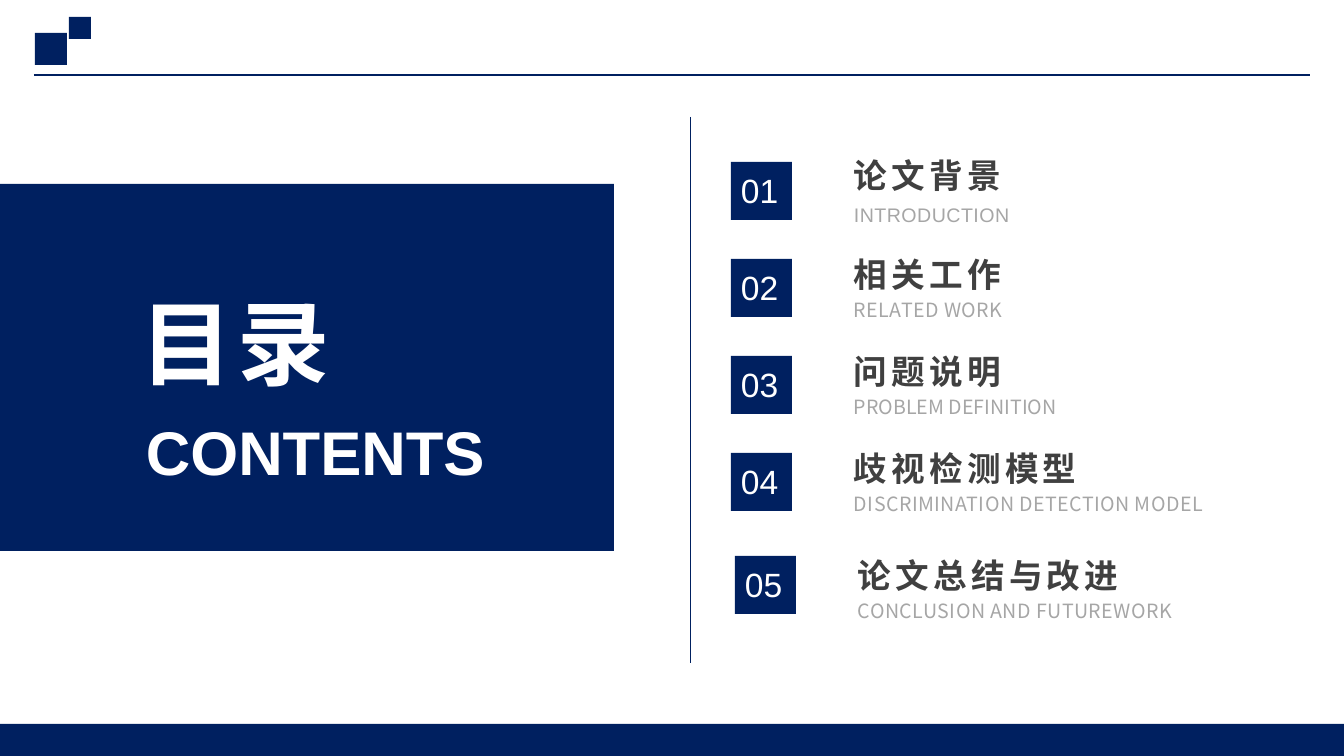
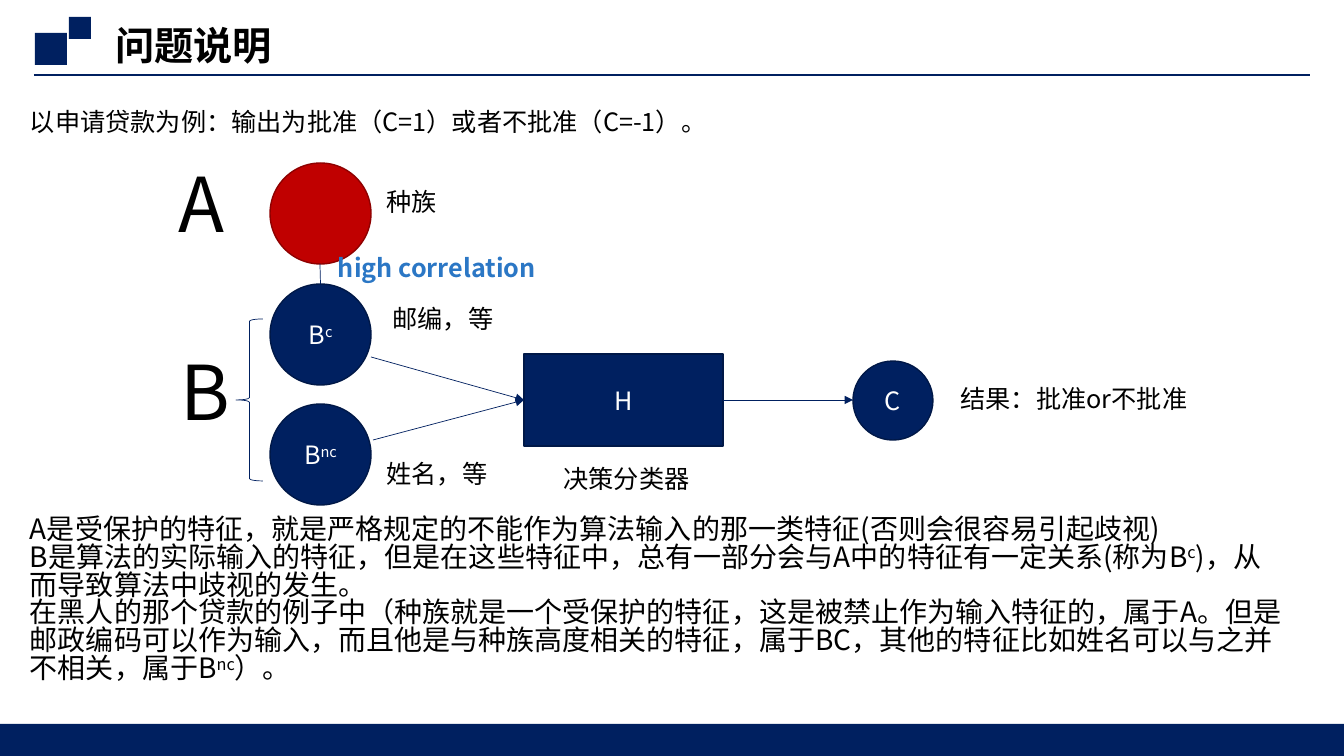
from dataclasses import dataclass

from lxml import etree
from pptx import Presentation
from pptx.dml.color import RGBColor
from pptx.enum.shapes import MSO_CONNECTOR, MSO_SHAPE
from pptx.enum.text import MSO_ANCHOR, MSO_AUTO_SIZE, PP_ALIGN
from pptx.oxml.ns import qn
from pptx.util import Emu, Pt

RECT, OVAL, BRACE = MSO_SHAPE.RECTANGLE, MSO_SHAPE.OVAL, MSO_SHAPE.LEFT_BRACE
STRAIGHT = MSO_CONNECTOR.STRAIGHT
LEFT, CENTER = PP_ALIGN.LEFT, PP_ALIGN.CENTER
TOP, MIDDLE = MSO_ANCHOR.TOP, MSO_ANCHOR.MIDDLE
NO_FIT = MSO_AUTO_SIZE.NONE

# Scale, colours and fonts
SLIDE_W, SLIDE_H = 1344, 756
EMU_PER_PX = 12192000 / SLIDE_W
NAVY = RGBColor(0x00, 0x20, 0x60)
NAVY_EDGE = RGBColor(0x00, 0x18, 0x47)
RED = RGBColor(0xC0, 0x00, 0x00)
RED_EDGE = RGBColor(0x8E, 0x00, 0x00)
BLUE = RGBColor(0x2B, 0x77, 0xC5)
BLACK = RGBColor(0x00, 0x00, 0x00)
DARK = RGBColor(0x40, 0x40, 0x40)
GREY = RGBColor(0xA6, 0xA6, 0xA6)
WHITE = RGBColor(0xFF, 0xFF, 0xFF)
ARIAL, NOTO = "Arial", "Noto Sans CJK SC"
NOTO_LEADING = 0.83


@dataclass(frozen=True)
class Chapter:
    title: str
    subtitle: str
    x: int
    y: int
    title_y: int
    font: str = NOTO
    spacing: float = 0.3


@dataclass(frozen=True)
class Label:
    text: str
    x: int
    y: int
    w: int
    h: int = 40
    size: int = 18
    color: RGBColor = BLACK
    bold: bool = False
    align: int = LEFT


@dataclass(frozen=True)
class Node:
    text: str
    kind: int
    x: int
    y: int
    w: int
    h: int
    fill: RGBColor = NAVY
    edge: RGBColor = NAVY_EDGE


CHAPTERS = [
    Chapter("论文背景", "INTRODUCTION", 731, 162, 160, ARIAL),
    Chapter("相关工作", "RELATED WORK", 731, 259, 259),
    Chapter("问题说明", "PROBLEM DEFINITION", 731, 356, 356, spacing=0),
    Chapter("歧视检测模型", "DISCRIMINATION DETECTION MODEL", 731, 453, 453),
    Chapter("论文总结与改进", "CONCLUSION AND FUTUREWORK", 735, 556, 560),
]

# A pair of ^ marks encloses a superscript
NODES = {
    "A": Node("", OVAL, 270, 163, 101, 101, RED, RED_EDGE),
    "Bc": Node("B^c^", OVAL, 270, 284, 101, 101),
    "Bnc": Node("B^nc^", OVAL, 270, 404, 101, 101),
    "H": Node("H", RECT, 524, 354, 199, 92),
    "C": Node("C", OVAL, 853, 361, 80, 79),
}
LABELS = [
    Label("以申请贷款为例：输出为批准（C=1）或者不批准（C=-1）。", 20, 106, 731),
    Label("A", 167, 167, 68, 102, 54, align=CENTER),
    Label("B", 171, 355, 62, 102, 54, align=CENTER),
    Label(" 种族", 371, 186, 153),
    Label("high\u00a0correlation", 328, 252, 688, color=BLUE, bold=True),
    Label(" 邮编，等", 377, 304, 153),
    Label(" 姓名，等", 371, 459, 153),
    Label(" 决策分类器", 548, 463, 153),
    Label(" 结果：批准or不批准", 945, 383, 271),
]
EXPLANATION = "\n".join([
    "A是受保护的特征，就是严格规定的不能作为算法输入的那一类特征(否则会很容易引起歧视)",
    "B是算法的实际输入的特征，但是在这些特征中，总有一部分会与A中的特征有一定关系"
    "(称为B^c^)，从而导致算法中歧视的发生。",
    "在黑人的那个贷款的例子中（种族就是一个受保护的特征，这是被禁止作为输入特征的，"
    "属于A。但是邮政编码可以作为输入，而且他是与种族高度相关的特征，属于BC，"
    "其他的特征比如姓名可以与之并不相关，属于B^nc^）。",
])


def px(n: float) -> Emu:
    return Emu(round(n * EMU_PER_PX))


def box(x: int, y: int, w: int, h: int) -> tuple:
    return px(x), px(y), px(w), px(h)


def write(sp, text: str, *, size: int, color: RGBColor, font: str = NOTO,
          bold: bool = False, align: int = LEFT, anchor: int = TOP,
          inset: bool = True, wrap: bool = True, spacing: float = 0,
          leading: float = 1, before: int = 0) -> None:
    """Fill a shape with text, one paragraph per line."""
    tf = sp.text_frame
    tf.word_wrap, tf.auto_size, tf.vertical_anchor = wrap, NO_FIT, anchor
    if not inset:
        tf.margin_left = tf.margin_right = tf.margin_top = tf.margin_bottom = 0
    for i, line in enumerate(text.split("\n")):
        p = tf.add_paragraph() if i else tf.paragraphs[0]
        p.alignment, p.line_spacing, p.space_before = align, leading, Pt(before)
        for j, part in enumerate(line.split("^")):
            if not part:
                continue
            r = p.add_run()
            r.text = part
            f = r.font
            f.size, f.bold, f.name = Pt(size), bold, font
            f.color.rgb = color
            rpr = r.font._element
            etree.SubElement(rpr, qn("a:ea")).set("typeface", font)
            if spacing:
                rpr.set("spc", str(round(spacing * 100)))
            if j % 2:
                rpr.set("baseline", "30000")


def add_text(s, text: str, x: int, y: int, w: int, h: int, **fmt) -> None:
    write(s.shapes.add_textbox(*box(x, y, w, h)), text, **fmt)


def add_block(s, kind: int, x: int, y: int, w: int, h: int,
              fill: RGBColor | None = NAVY, edge: RGBColor | None = None,
              weight: float = 1):
    sp = s.shapes.add_shape(kind, *box(x, y, w, h))
    sp.shadow.inherit = False
    if fill is None:
        sp.fill.background()
    else:
        sp.fill.solid()
        sp.fill.fore_color.rgb = fill
    if edge is None:
        sp.line.fill.background()
    else:
        sp.line.color.rgb = edge
        sp.line.width = Pt(weight)
    return sp


def add_line(s, x1: int, y1: int, x2: int, y2: int,
             weight: float = 0.5, arrow: bool = False):
    cxn = s.shapes.add_connector(STRAIGHT, px(x1), px(y1), px(x2), px(y2))
    cxn.line.color.rgb = NAVY
    cxn.line.width = Pt(weight)
    if arrow:
        ln = cxn.line._get_or_add_ln()
        etree.SubElement(ln, qn("a:tailEnd")).set("type", "triangle")
    etree.SubElement(cxn.element.spPr, qn("a:effectLst"))
    return cxn


def add_frame(prs, s) -> None:
    """Draw the rule, corner squares and bottom band, then move them to the master."""
    parts = [
        add_line(s, 34, 75, 1310, 75, 1.5),
        add_block(s, RECT, 35, 33, 32, 32),
        add_block(s, RECT, 69, 17, 22, 22),
        add_block(s, RECT, 0, 724, SLIDE_W, 32),
    ]
    for i, sp in enumerate(parts):
        sp.element.xpath(".//p:cNvPr")[0].set("id", str(101 + i))
        prs.slide_master.shapes.element.append(sp.element)


def set_title(s, text: str, x: int, y: int, w: int, h: int, **fmt) -> None:
    sp = s.shapes.title
    sp.left, sp.top, sp.width, sp.height = box(x, y, w, h)
    write(sp, text, bold=True, inset=False, **fmt)
    s.shapes.element.append(sp.element)


def build_contents(s) -> None:
    # Left panel
    add_block(s, RECT, 0, 184, 614, 367)
    set_title(s, "目录", 85, 286, 301, 112, size=66, color=WHITE, font=ARIAL,
              align=CENTER, spacing=3, before=8)
    add_text(s, "CONTENTS", 136, 394, 369, 92, size=44, color=WHITE,
             font=ARIAL, bold=True, leading=1.2)
    add_line(s, 690, 117, 690, 663)

    # Chapter list
    for i, c in enumerate(CHAPTERS, 1):
        add_block(s, RECT, c.x, c.y, 61, 58)
        add_text(s, f"{i:02d}", c.x, c.y + 3, 58, 50, size=24, color=WHITE,
                 font=ARIAL, wrap=False)
        x = c.x + 123
        add_text(s, c.title, x, c.title_y + 2, 290, 40, size=24, color=DARK,
                 bold=True, inset=False, spacing=3, leading=NOTO_LEADING)
        add_text(s, c.subtitle, x, c.title_y + 43, 390, 24, size=14, color=GREY,
                 font=c.font, inset=False, spacing=c.spacing,
                 leading=NOTO_LEADING if c.font == NOTO else 1)


def build_problem(s) -> None:
    set_title(s, "问题说明", 115, 21, 563, 48, size=28, color=BLACK, anchor=MIDDLE)

    # Diagram nodes
    nodes = {}
    for name, n in NODES.items():
        sp = add_block(s, n.kind, n.x, n.y, n.w, n.h, n.fill, n.edge)
        write(sp, n.text, size=18, color=WHITE, align=CENTER, anchor=MIDDLE)
        nodes[name] = sp
    add_block(s, BRACE, 236, 319, 27, 162, None, NAVY, 0.5)

    # Links
    add_line(s, 320, 264, 320, 284).end_connect(nodes["Bc"], 0)
    for x, y in ((371, 357), (373, 440)):
        add_line(s, x, y, 524, 400, arrow=True).end_connect(nodes["H"], 1)
    add_line(s, 723, 400, 853, 400, arrow=True).begin_connect(nodes["H"], 3)

    # Labels and explanation
    for t in LABELS:
        add_text(s, t.text, t.x, t.y, t.w, t.h, size=t.size, color=t.color,
                 bold=t.bold, align=t.align, leading=NOTO_LEADING)
    add_text(s, EXPLANATION, 20, 512, 1276, 212, size=20, color=BLACK,
             leading=NOTO_LEADING)


def main() -> None:
    prs = Presentation()
    prs.slide_width, prs.slide_height = px(SLIDE_W), px(SLIDE_H)
    title_only = prs.slide_layouts[5]
    contents, problem = (prs.slides.add_slide(title_only) for _ in range(2))
    add_frame(prs, contents)
    build_contents(contents)
    build_problem(problem)
    prs.save("out.pptx")


if __name__ == "__main__":
    main()
